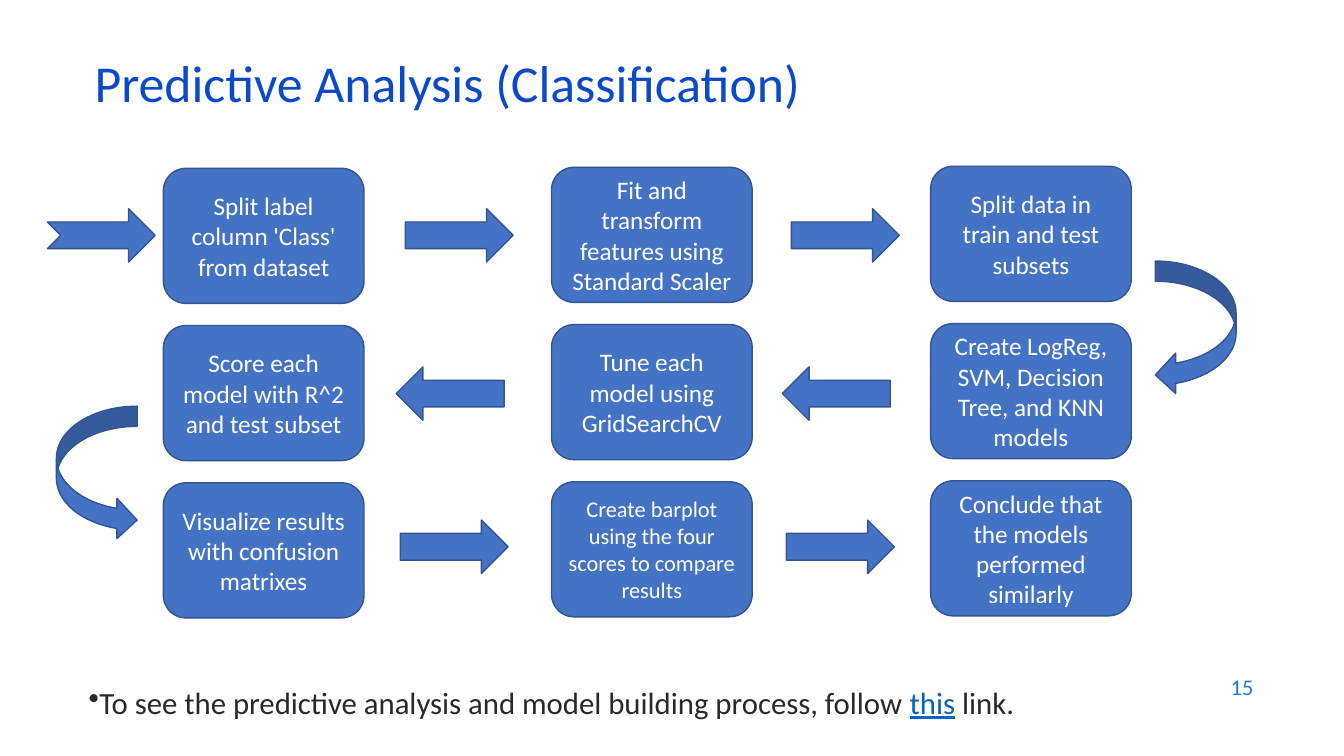
import pptx
import pptx.util
import pptx.dml.color
import pptx.enum.shapes
import pptx.enum.text
from lxml import etree

SHAPE = pptx.enum.shapes.MSO_SHAPE
ALIGN = pptx.enum.text.PP_ALIGN
ANCHOR = pptx.enum.text.MSO_ANCHOR
inch = pptx.util.Inches

FONT = "Calibri"
BLUE, EDGE, WHITE = "4472C4", "325491", "FFFFFF"
TITLE, BODY, LINK, PAGE = "0B49CB", "292929", "0563C1", "1C7DDB"

# Flow grid: each row has its arrow shape, first arrow's left and top, and steps from left to right
STEP_W, STEP_H = 1.99, 1.34
COLUMNS = (0, 3.85, 7.61)
ROW_PITCH = 1.56
COLUMN_RISE = 0.01
ARROW_W, ARROW_H, ARROW_PITCH = 1.07, 0.53, 3.83
ROWS = (
    (SHAPE.RIGHT_ARROW, 2.4, 0.4, (
        ("Split label column 'Class' from dataset", 18),
        ("Fit and\ntransform features using Standard Scaler", 18),
        ("Split data in train and test subsets", 18))),
    (SHAPE.LEFT_ARROW, 2.31, 1.97, (
        ("Score each model with R^2 and test subset", 18),
        ("Tune each model using GridSearchCV", 18),
        ("Create LogReg, SVM, Decision Tree, and KNN models", 18))),
    (SHAPE.RIGHT_ARROW, 2.35, 3.49, (
        ("Visualize results with confusion matrixes", 18),
        ("Create barplot using the four scores to compare results", 16),
        ("Conclude that the models performed similarly", 18))),
)


def colour(value):
    return pptx.dml.color.RGBColor.from_string(value)


def write(paragraph, text, size=18, color=WHITE, underline=None):
    run = paragraph.add_run()
    run.text = text
    run.font.name = FONT
    run.font.size = pptx.util.Pt(size)
    run.font.color.rgb = colour(color)
    run.font.underline = underline


def text_area(slide, box, anchor):
    frame = slide.shapes.add_textbox(*map(inch, box)).text_frame
    frame.word_wrap = True
    frame.vertical_anchor = anchor
    return frame.paragraphs[0]


def block(slide, kind, left, top, width, height):
    shape = slide.shapes.add_shape(kind, *map(inch, (left, top, width, height)))
    shape.shadow.inherit = False
    shape.fill.solid()
    shape.fill.fore_color.rgb = colour(BLUE)
    shape.line.color.rgb = colour(EDGE)
    shape.line.width = pptx.util.Pt(1)
    return shape


def step(slide, left, top, text, size):
    frame = block(slide, SHAPE.ROUNDED_RECTANGLE, left, top, STEP_W, STEP_H).text_frame
    frame.word_wrap = True
    frame.vertical_anchor = ANCHOR.MIDDLE
    for i, line in enumerate(text.split("\n")):
        paragraph = frame.add_paragraph() if i else frame.paragraphs[0]
        paragraph.alignment = ALIGN.CENTER
        write(paragraph, line, size)


def title(slide, box):
    heading = text_area(slide, box, ANCHOR.MIDDLE)
    heading.line_spacing = 0.7
    write(heading, "Predictive Analysis (Classification)", 37, TITLE)


def flow(slide, left, top):
    for row, (arrow, arrow_left, arrow_top, steps) in enumerate(ROWS):
        for column, (text, size) in enumerate(steps):
            step(slide, left + COLUMNS[column],
                 top + row * ROW_PITCH - column * COLUMN_RISE, text, size)
        for gap in range(len(steps) - 1):
            block(slide, arrow, left + arrow_left + gap * ARROW_PITCH,
                  top + arrow_top, ARROW_W, ARROW_H)
    # Entry arrow and the turns between rows
    block(slide, SHAPE.NOTCHED_RIGHT_ARROW, left - 1.15, top + 0.4, ARROW_W, ARROW_H)
    block(slide, SHAPE.CURVED_LEFT_ARROW, left + 9.84, top + 0.92, 0.8, 1.33)
    block(slide, SHAPE.CURVED_RIGHT_ARROW, left - 1.06, top + 2.36, 0.8, 1.33)


def link_note(slide, box):
    note = text_area(slide, box, ANCHOR.TOP)
    properties = note._p.get_or_add_pPr()
    properties.set("marL", "0")
    properties.set("indent", "0")
    bullet = etree.SubElement(properties, pptx.oxml.ns.qn("a:buChar"))
    bullet.set("char", "•")
    write(note, "To see the predictive analysis and model building process, follow ", 22, BODY)
    write(note, "this", 22, LINK, underline=True)
    write(note, " link.", 22, BODY, underline=False)


def page_number(slide, box):
    number = text_area(slide, box, ANCHOR.MIDDLE)
    number.alignment = ALIGN.RIGHT
    write(number, "15", 16, PAGE)


def main():
    deck = pptx.Presentation()
    deck.slide_width, deck.slide_height = inch(13.33), inch(7.5)
    slide = deck.slides.add_slide(deck.slide_layouts[6])
    page_number(slide, (9.53, 6.59, 3, 0.44))
    link_note(slide, (0.78, 6.73, 10.66, 0.72))
    title(slide, (0.84, 0.59, 11.5, 0.6))
    flow(slide, 1.62, 1.67)
    deck.save("out.pptx")


if __name__ == "__main__":
    main()
